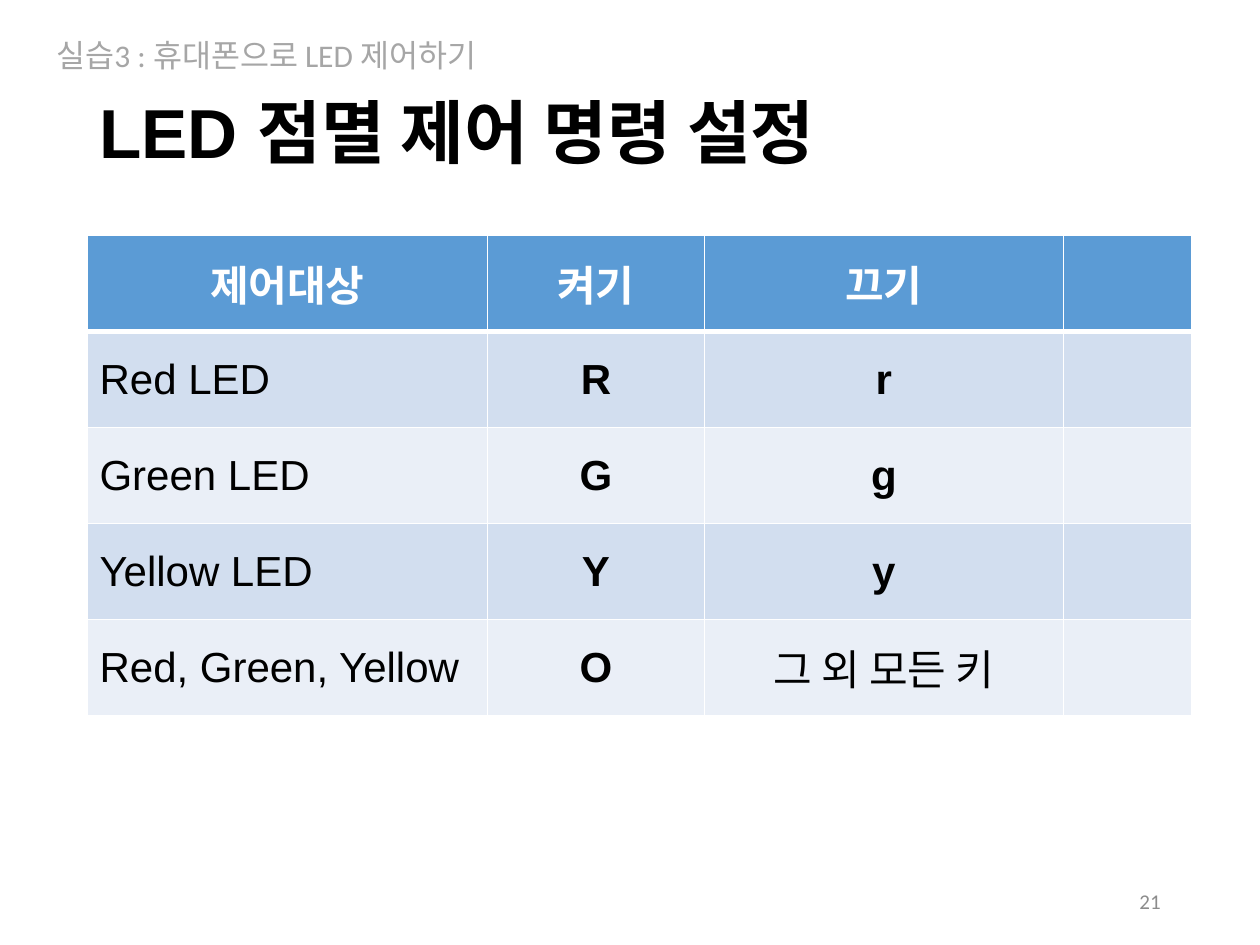
from lxml import etree
from pptx import Presentation
from pptx.dml.color import RGBColor
from pptx.enum.text import MSO_ANCHOR, MSO_AUTO_SIZE, PP_ALIGN
from pptx.oxml.ns import qn
from pptx.util import Inches, Pt

LEFT, CENTER, RIGHT = PP_ALIGN.LEFT, PP_ALIGN.CENTER, PP_ALIGN.RIGHT
TOP, MIDDLE = MSO_ANCHOR.TOP, MSO_ANCHOR.MIDDLE
NO_AUTOFIT = MSO_AUTO_SIZE.NONE
TITLE_ONLY = 5

SLIDE_WIDTH, SLIDE_HEIGHT = Inches(10), Inches(7.5)
COLORS = {
    "text": "000000",
    "white": "FFFFFF",
    "section": "A6A6A6",
    "number": "8C8C8C",
    "header": "5B9BD5",
    "odd_row": "D2DEEF",
    "even_row": "EAEFF7",
}
COLUMN_WEIGHTS = (3.18, 1.72, 2.85, 1.02)
COMMANDS = (
    ("제어대상", "켜기", "끄기", ""),
    ("Red LED", "R", "r", ""),
    ("Green LED", "G", "g", ""),
    ("Yellow LED", "Y", "y", ""),
    ("Red, Green, Yellow", "O", "그 외 모든 키", ""),
)


def color(name):
    return RGBColor.from_string(COLORS[name])


def percent_box(left, top, width, height):
    return tuple(
        round(size * share / 100)
        for size, share in (
            (SLIDE_WIDTH, left),
            (SLIDE_HEIGHT, top),
            (SLIDE_WIDTH, width),
            (SLIDE_HEIGHT, height),
        )
    )


def format_paragraph(paragraph, font_name, size, color_name, bold, alignment):
    paragraph.alignment = alignment
    font = paragraph.font
    font.name, font.size, font.bold = font_name, Pt(size), bold
    font.color.rgb = color(color_name)


def place_title(slide, box, text):
    title = slide.shapes.title
    title.left, title.top, title.width, title.height = box
    frame = title.text_frame
    frame.text = text
    frame.auto_size = NO_AUTOFIT
    frame.vertical_anchor = MIDDLE
    paragraph = frame.paragraphs[0]
    paragraph.line_spacing = 0.9
    format_paragraph(paragraph, "Arial", 39.6, "text", True, LEFT)


def place_label(slide, box, text, size, color_name, alignment, anchor, wrap):
    frame = slide.shapes.add_textbox(*box).text_frame
    frame.text = text
    frame.word_wrap = wrap
    frame.vertical_anchor = anchor
    format_paragraph(frame.paragraphs[0], "Calibri", size, color_name, False, alignment)


def set_borders(cell, row_index):
    properties = cell._tc.get_or_add_tcPr()
    widths = {"L": 1, "R": 1, "T": 3 if row_index == 1 else 1, "B": 3 if row_index == 0 else 1}
    for side, width in widths.items():
        line = etree.SubElement(properties, qn(f"a:ln{side}"), w=str(Pt(width)))
        fill = etree.SubElement(line, qn("a:solidFill"))
        etree.SubElement(fill, qn("a:srgbClr"), val=COLORS["white"])


def format_cell(cell, text, row_index, column_index):
    is_header = row_index == 0
    set_borders(cell, row_index)
    cell.fill.solid()
    row_color = "odd_row" if row_index % 2 else "even_row"
    cell.fill.fore_color.rgb = color("header" if is_header else row_color)
    cell.vertical_anchor = MIDDLE
    cell.text = text
    format_paragraph(
        cell.text_frame.paragraphs[0],
        "Calibri" if is_header else "Arial",
        24,
        "white" if is_header else "text",
        is_header or len(text) == 1,
        CENTER if is_header or column_index else LEFT,
    )


def place_command_table(slide, box, rows):
    table = slide.shapes.add_table(len(rows), len(COLUMN_WEIGHTS), *box).table
    for column, weight in zip(table.columns, COLUMN_WEIGHTS):
        column.width = round(box[2] * weight / sum(COLUMN_WEIGHTS))
    for row_index, row in enumerate(rows):
        table.rows[row_index].height = round(box[3] / len(rows))
        for column_index, text in enumerate(row):
            format_cell(table.cell(row_index, column_index), text, row_index, column_index)


def main():
    presentation = Presentation()
    presentation.slide_width, presentation.slide_height = SLIDE_WIDTH, SLIDE_HEIGHT
    slide = presentation.slides.add_slide(presentation.slide_layouts[TITLE_ONLY])
    place_title(slide, percent_box(6.9, 10, 86.2, 8.8), "LED 점멸 제어 명령 설정")
    place_label(slide, percent_box(70.6, 92.67, 22.5, 5.33), "21",
                12, "number", RIGHT, MIDDLE, True)
    place_label(slide, percent_box(3.5, 3.2, 37.9, 5.33), "실습3 : 휴대폰으로 LED 제어하기",
                18, "section", LEFT, TOP, False)
    place_command_table(slide, percent_box(6.9, 24.93, 87.7, 50.8), COMMANDS)
    presentation.save("out.pptx")


if __name__ == "__main__":
    main()
